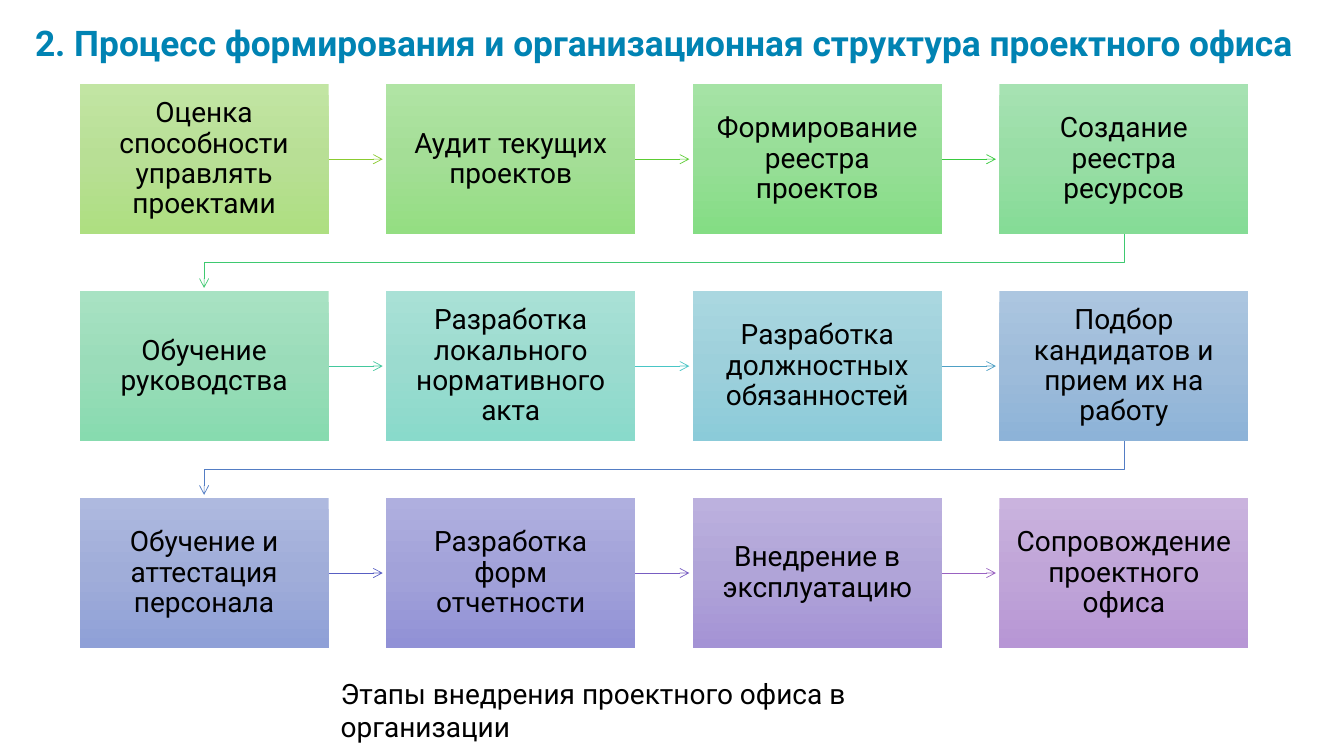
from copy import deepcopy
from dataclasses import dataclass
from pptx import Presentation
from pptx.dml.color import RGBColor
from pptx.enum.shapes import MSO_CONNECTOR, MSO_SHAPE
from pptx.enum.text import MSO_ANCHOR, MSO_AUTO_SIZE, PP_ALIGN
from pptx.oxml.ns import qn
from pptx.oxml.xmlchemy import OxmlElement
from pptx.util import Pt

TITLE = "2. Процесс формирования и организационная структура проектного офиса"
CAPTION = "Этапы внедрения проектного офиса в организации"
STAGES = [
    "Оценка способности управлять проектами",
    "Аудит текущих проектов",
    "Формирование реестра проектов",
    "Создание реестра ресурсов",
    "Обучение руководства",
    "Разработка локального нормативного акта",
    "Разработка должностных обязанностей",
    "Подбор кандидатов и прием их на работу",
    "Обучение и аттестация персонала",
    "Разработка форм отчетности",
    "Внедрение в эксплуатацию",
    "Сопровождение проектного офиса",
]


@dataclass(frozen=True)
class Theme:
    font: str = "Roboto"
    title_size: float = 25.2
    text_size: float = 20
    title: str = "0083B3"
    text: str = "000000"
    line_width: float = 0.5
    # Top, middle and bottom colour of each stage
    gradients: tuple = (
        ("C2E5A3", "B8DF95", "AEDF81"), ("B0E4A4", "A4DE96", "94DE82"),
        ("A5E3A5", "97DE97", "84DD84"), ("A6E2B2", "98DDA5", "85DC96"),
        ("A8E2C3", "9ADCB9", "87DBAF"), ("A9E1D6", "9BDBCF", "89DACB"),
        ("AAD7E0", "9DD0DB", "8BCBD9"), ("ACC6E0", "9EBCDA", "8DB3D8"),
        ("AEB9DF", "A0ADD9", "8FA0D7"), ("AFAFDF", "A2A2D9", "9191D6"),
        ("BCB1DE", "B0A4D8", "A493D5"), ("CAB3DE", "C0A5D8", "B796D5"),
    )
    arrows: tuple = (
        "8BCB30", "5CCC33", "39CA3F", "3EC970", "43C89D", "49C6C6",
        "4EA0C5", "537DC4", "585EC3", "785DC2", "9962C1",
    )


THEME = Theme()
COLUMNS = 4
LEFT, TOP = 56.8, 60.3
BOX_WIDTH, BOX_HEIGHT = 178, 106.8
GAP = 41
ARROW_CLEARANCE = 2.4
INSET = 11.2


def write(shape, text, size=THEME.text_size, color=THEME.text, bold=False,
          align=PP_ALIGN.LEFT, anchor=MSO_ANCHOR.TOP, spacing=1.0, inset=None):
    frame = shape.text_frame
    frame.word_wrap = True
    frame.auto_size = MSO_AUTO_SIZE.NONE
    frame.vertical_anchor = anchor
    if inset is not None:
        frame.margin_left = frame.margin_right = Pt(inset)
        frame.margin_top = frame.margin_bottom = Pt(inset)
    para = frame.paragraphs[0]
    para.alignment = align
    para.line_spacing = spacing
    span = para.add_run()
    span.text = text
    span.font.name = THEME.font
    span.font.size = Pt(size)
    span.font.bold = bold
    span.font.color.rgb = RGBColor.from_string(color)


def fill_gradient(shape, colors):
    """Fill from top to bottom with three evenly spaced colours."""
    shape.fill.gradient()
    shape.fill.gradient_angle = 270
    stop_list = shape._element.spPr.find(f".//{qn('a:gsLst')}")
    stop_list.insert(1, deepcopy(stop_list[0]))
    for index, (stop, color) in enumerate(zip(shape.fill.gradient_stops, colors)):
        stop.position = index / 2
        stop.color.rgb = RGBColor.from_string(color)


def style_arrow(arrow, color):
    arrow.line.color.rgb = RGBColor.from_string(color)
    arrow.line.width = Pt(THEME.line_width)
    head = OxmlElement("a:tailEnd")
    head.set("type", "arrow")
    arrow.line._get_or_add_ln().append(head)
    arrow._element.spPr.append(OxmlElement("a:effectLst"))


def stage_corner(index):
    row, column = divmod(index, COLUMNS)
    return LEFT + column * (BOX_WIDTH + GAP), TOP + row * (BOX_HEIGHT + GAP)


def add_stage(page, index):
    left, top = stage_corner(index)
    box = page.shapes.add_shape(MSO_SHAPE.RECTANGLE, Pt(left), Pt(top),
                                Pt(BOX_WIDTH), Pt(BOX_HEIGHT))
    box.shadow.inherit = False
    box.line.fill.background()
    fill_gradient(box, THEME.gradients[index])
    write(box, STAGES[index], align=PP_ALIGN.CENTER, anchor=MSO_ANCHOR.MIDDLE,
          spacing=0.9, inset=INSET)
    return box


def add_straight_arrow(page, index, box):
    left, top = stage_corner(index)
    start, middle = left + BOX_WIDTH, top + BOX_HEIGHT / 2
    arrow = page.shapes.add_connector(
        MSO_CONNECTOR.STRAIGHT, Pt(start), Pt(middle),
        Pt(start + GAP - ARROW_CLEARANCE), Pt(middle))
    arrow.begin_connect(box, 3)
    return arrow


def add_row_arrow(page, index):
    """Lead from the end of one row to the start of the next."""
    left, top = stage_corner(index)
    next_left, next_top = stage_corner(index + 1)
    start_x, end_x = left + BOX_WIDTH / 2, next_left + BOX_WIDTH / 2
    start_y = top + BOX_HEIGHT
    turn_y = start_y + GAP / 2
    builder = page.shapes.build_freeform(Pt(start_x), Pt(start_y))
    corners = [(start_x, turn_y), (end_x, turn_y),
               (end_x, next_top - ARROW_CLEARANCE)]
    builder.add_line_segments([(Pt(x), Pt(y)) for x, y in corners], close=False)
    arrow = builder.convert_to_shape()
    arrow.fill.background()
    return arrow


def main():
    deck = Presentation()
    deck.slide_width, deck.slide_height = Pt(960), Pt(540)
    page = deck.slides.add_slide(deck.slide_layouts[5])

    title = page.shapes.title
    title.left, title.top = Pt(15.1), Pt(9.4)
    title.width, title.height = Pt(918.7), Pt(39.6)
    write(title, TITLE, size=THEME.title_size, color=THEME.title, bold=True,
          align=PP_ALIGN.CENTER, anchor=MSO_ANCHOR.BOTTOM, spacing=0.8)

    boxes = [add_stage(page, index) for index in range(len(STAGES))]
    for index, color in enumerate(THEME.arrows):
        if (index + 1) % COLUMNS:
            arrow = add_straight_arrow(page, index, boxes[index])
        else:
            arrow = add_row_arrow(page, index)
        style_arrow(arrow, color)

    caption = page.shapes.add_textbox(Pt(236.2), Pt(479.5), Pt(475.2), Pt(31.7))
    write(caption, CAPTION)
    deck.save("out.pptx")


if __name__ == "__main__":
    main()
